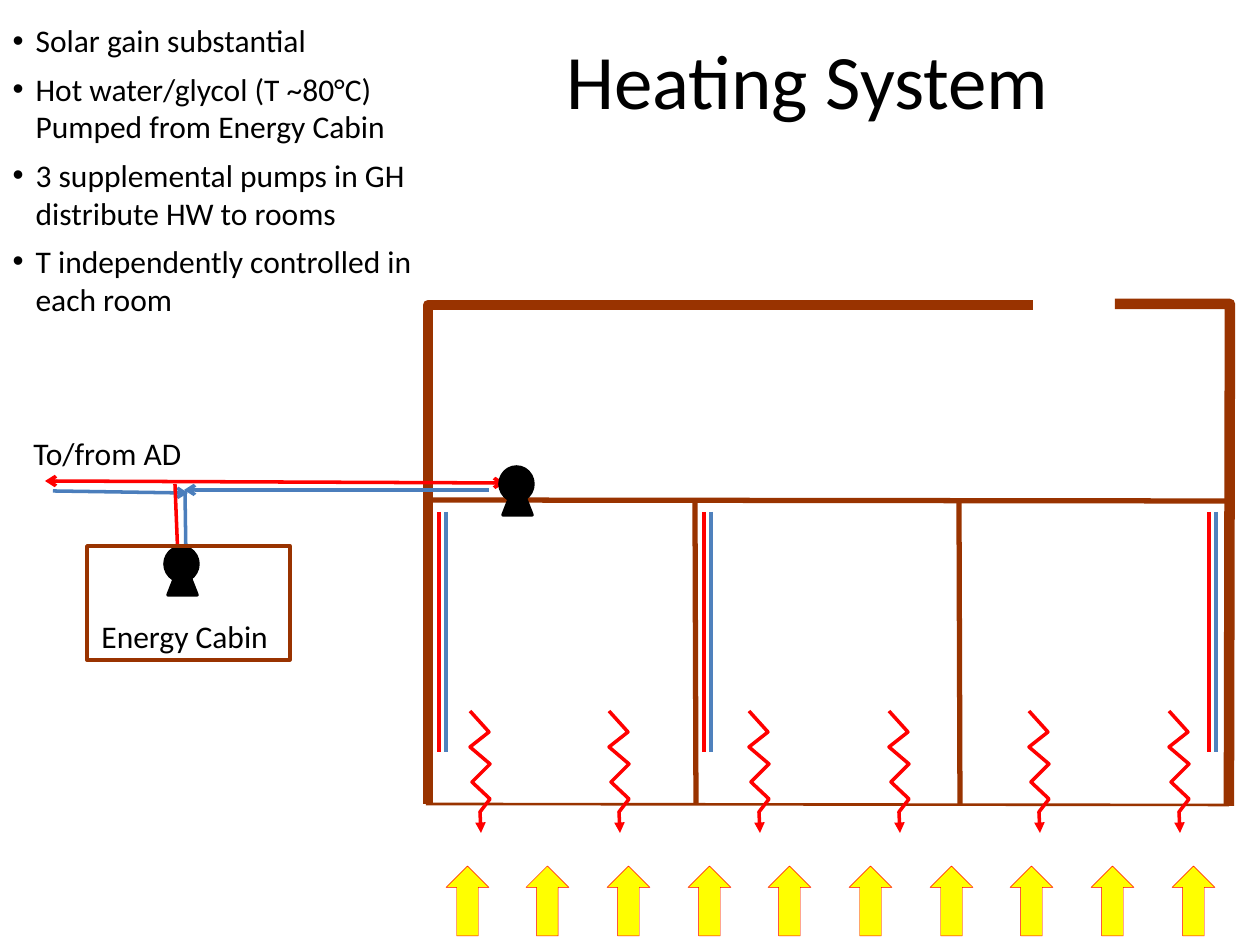
from dataclasses import dataclass

from lxml import etree
from pptx import Presentation
from pptx import util as u
from pptx.dml.color import RGBColor
from pptx.enum import shapes, text
from pptx.oxml.ns import qn

EMU_PER_PX = 914400 / 126


@dataclass(frozen=True)
class Theme:
    wall: str = "993300"
    hot: str = "FF0000"
    cold: str = "4F81BD"
    cold_main: str = "4B7EBC"
    sun: str = "FFFF00"
    ink: str = "000000"
    font: str = "Calibri"
    title_size: int = 44
    text_size: int = 18
    pipe: float = 2
    thin_wall: float = 1.5
    inner_wall: float = 3
    outer_wall: float = 6
    hairline: float = 0.25


THEME = Theme()

BENEFITS = [
    "Solar gain substantial",
    "Hot water/glycol (T ~80°C) Pumped from Energy Cabin",
    "3 supplemental pumps in GH distribute HW to rooms",
    "T independently controlled in each room",
]
HEAT_WAVE = [(0, 0), (19, 21), (0, 36), (20, 53), (2, 71), (20, 88), (10, 101), (11, 122)]


def px(*lengths):
    return [u.Emu(round(length * EMU_PER_PX)) for length in lengths]


def paint_line(line, color, width):
    line.color.rgb = RGBColor.from_string(color)
    line.width = u.Pt(width)


def add_arrowheads(stroke, head=None, tail=None):
    ln = stroke._element.spPr.find(qn("a:ln"))
    for tag, kind in (("a:headEnd", head), ("a:tailEnd", tail)):
        if kind:
            etree.SubElement(ln, qn(tag)).set("type", kind)


def add_line(slide, start, end, color, width, head=None, tail=None):
    connector = slide.shapes.add_connector(
        shapes.MSO_CONNECTOR.STRAIGHT, *px(*start, *end))
    paint_line(connector.line, color, width)
    add_arrowheads(connector, head, tail)
    etree.SubElement(connector._element.spPr, qn("a:effectLst"))


def add_outline(slide, points, color, width, tail=None):
    builder = slide.shapes.build_freeform(*points[0], scale=EMU_PER_PX)
    builder.add_line_segments(points[1:], close=False)
    outline = builder.convert_to_shape()
    outline.shadow.inherit = False
    outline.fill.background()
    paint_line(outline.line, color, width)
    add_arrowheads(outline, tail=tail)


def add_figure(parent, kind, box, fill, color, width):
    figure = parent.shapes.add_shape(kind, *px(*box))
    figure.shadow.inherit = False
    if fill:
        figure.fill.solid()
        figure.fill.fore_color.rgb = RGBColor.from_string(fill)
    else:
        figure.fill.background()
    paint_line(figure.line, color, width)


def add_pump(slide, x, y):
    pump = slide.shapes.add_group_shape()
    kinds = shapes.MSO_SHAPE
    for kind, box in ((kinds.OVAL, (x, y, 33, 34)),
                      (kinds.ISOSCELES_TRIANGLE, (x + 3, y + 11, 29, 37))):
        add_figure(pump, kind, box, THEME.ink, THEME.ink, THEME.pipe)


def style_font(paragraph, size):
    paragraph.font.name = THEME.font
    paragraph.font.size = u.Pt(size)
    paragraph.font.color.rgb = RGBColor.from_string(THEME.ink)


def add_label(slide, wording, box):
    label = slide.shapes.add_textbox(*px(*box)).text_frame
    label.word_wrap = False
    label.auto_size = text.MSO_AUTO_SIZE.SHAPE_TO_FIT_TEXT
    label.text = wording
    style_font(label.paragraphs[0], THEME.text_size)


def place(placeholder, box):
    placeholder.left, placeholder.top, placeholder.width, placeholder.height = px(*box)
    placeholder.text_frame.auto_size = text.MSO_AUTO_SIZE.NONE
    return placeholder.text_frame


def fill_title(slide):
    heading = place(slide.shapes.title, (425, 0, 765, 158))
    heading.text = "Heating System"
    heading.vertical_anchor = text.MSO_ANCHOR.MIDDLE
    heading.paragraphs[0].alignment = text.PP_ALIGN.CENTER
    style_font(heading.paragraphs[0], THEME.title_size)


def fill_benefits(slide):
    benefits = place(slide.placeholders[1], (0, 15, 456, 311))
    benefits.text = "\n".join(BENEFITS)
    indent = px(23)[0]
    for index, paragraph in enumerate(benefits.paragraphs):
        paragraph.space_before = u.Pt(6 if index else 0)
        properties = paragraph._p.get_or_add_pPr()
        properties.set("marL", str(indent))
        properties.set("indent", str(-indent))
        etree.SubElement(properties, qn("a:buFont")).set("typeface", "Arial")
        etree.SubElement(properties, qn("a:buChar")).set("char", "•")
        style_font(paragraph, THEME.text_size)


def draw_greenhouse(slide):
    add_outline(slide, [(428, 804), (428, 305), (1033, 305)], THEME.wall, THEME.outer_wall)
    add_outline(slide, [(1115, 304), (1230, 304), (1229, 806)], THEME.wall, THEME.outer_wall)
    add_line(slide, (426, 804), (1229, 805), THEME.wall, THEME.thin_wall)
    add_line(slide, (431, 500), (1227, 501), THEME.wall, THEME.inner_wall)
    for x in (695, 959):
        add_line(slide, (x + 1, 805), (x, 502), THEME.wall, THEME.inner_wall)


def draw_supply(slide):
    add_line(slide, (45, 481), (505, 483), THEME.hot, THEME.pipe, "arrow", "arrow")
    add_line(slide, (53, 491), (188, 493), THEME.cold_main, THEME.pipe, tail="arrow")
    add_line(slide, (489, 490), (184, 490), THEME.cold_main, THEME.pipe, tail="arrow")
    add_line(slide, (185, 491), (186, 559), THEME.cold_main, THEME.pipe)
    add_line(slide, (175, 484), (178, 559), THEME.hot, THEME.pipe)
    add_pump(slide, 165, 547)
    add_label(slide, "To/from AD", (21, 428, 175, 50))
    add_figure(slide, shapes.MSO_SHAPE.RECTANGLE, (87, 546, 203, 114),
               None, THEME.wall, THEME.pipe)
    add_label(slide, "Energy Cabin", (89, 611, 194, 50))
    add_pump(slide, 500, 467)


def draw_room_heat(slide):
    for x in (439, 704, 1209):
        add_line(slide, (x, 512), (x, 752), THEME.hot, THEME.pipe)
        add_line(slide, (x + 7, 512), (x + 7, 752), THEME.cold, THEME.pipe)
    for wave in range(6):
        x = 470 + wave * 699 // 5
        add_outline(slide, [(x + dx, 711 + dy) for dx, dy in HEAT_WAVE],
                    THEME.hot, THEME.pipe, tail="triangle")


def draw_solar_gain(slide):
    for ray in range(10):
        add_figure(slide, shapes.MSO_SHAPE.UP_ARROW, (446 + ray * 726 // 9, 866, 43, 70),
                   THEME.sun, THEME.hot, THEME.hairline)


def main():
    deck = Presentation()
    deck.slide_width, deck.slide_height = px(1260, 945)
    slide = deck.slides.add_slide(deck.slide_layouts[1])
    fill_title(slide)
    fill_benefits(slide)
    draw_greenhouse(slide)
    draw_supply(slide)
    draw_room_heat(slide)
    draw_solar_gain(slide)
    deck.save("out.pptx")


if __name__ == "__main__":
    main()
